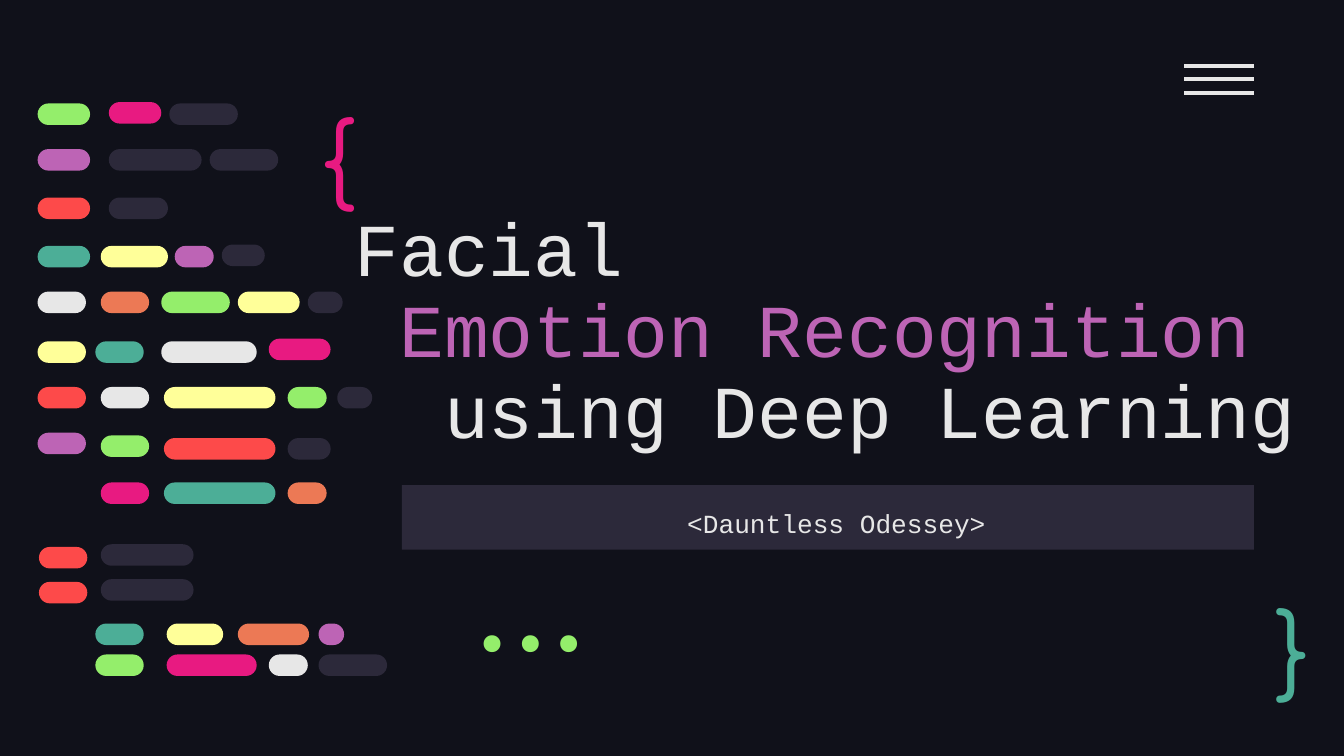
"""Build the title slide of a deep learning talk, with a pattern of code-like pills."""
from lxml import etree
from pptx import Presentation
from pptx.dml.color import RGBColor
from pptx.enum import shapes, text
from pptx.oxml import ns
from pptx.util import Inches, Pt

COLORS = {
    "night": "10111A", "slate": "2C293A", "white": "E7E7E7", "purple": "BD64B5",
    "pink": "E81A81", "teal": "4CAE97", "green": "94EE6B", "red": "FD4A4A",
    "yellow": "FFFF99", "orange": "EC7955",
}
CODE_FONT = "Courier New"
TITLE_SIZE = 40
TITLE_INDENT = TITLE_SIZE * 0.6 / 72
TITLE = [("Facial", "white"), ("Emotion Recognition", "purple"), ("using Deep Learning", "white")]
SUBTITLE = "<Dauntless Odessey>"
TOP, MIDDLE, BOTTOM = text.MSO_ANCHOR.TOP, text.MSO_ANCHOR.MIDDLE, text.MSO_ANCHOR.BOTTOM
LEFT, CENTER, RIGHT = text.PP_ALIGN.LEFT, text.PP_ALIGN.CENTER, text.PP_ALIGN.RIGHT
ORNAMENTS = [
    ("{", (2.29, 0.62, 0.77, 0.95), "Comfortaa", "pink", TOP, LEFT),
    ("}", (9.39, 4.38, 0.57, 0.83), "Comfortaa", "teal", MIDDLE, LEFT),
    ("...", (3.11, 4.49, 1.58, 0.6), "Fira Code", "green", BOTTOM, RIGHT),
]
MENU_LEFT, MENU_RIGHT, MENU_TOP, MENU_STEP, MENU_LINES = 8.81, 9.33, 0.49, 0.1, 3
PILL_HEIGHT = 0.16
PILL_ROWS = [
    (0.77, [(0.28, 0.39, "green"), (1.26, 0.51, "slate")]),
    (0.76, [(0.81, 0.39, "pink")]),
    (1.11, [(0.28, 0.39, "purple"), (0.81, 0.69, "slate"), (1.56, 0.51, "slate")]),
    (1.47, [(0.28, 0.39, "red"), (0.81, 0.44, "slate")]),
    (1.83, [(0.28, 0.39, "teal"), (0.75, 0.5, "yellow"), (1.3, 0.29, "purple")]),
    (1.82, [(1.65, 0.32, "slate")]),
    (2.17, [(0.28, 0.36, "white"), (0.75, 0.36, "orange"), (1.2, 0.51, "green"),
            (1.77, 0.46, "yellow"), (2.29, 0.26, "slate")]),
    (2.54, [(0.28, 0.36, "yellow"), (0.71, 0.36, "teal"), (1.2, 0.71, "white")]),
    (2.52, [(2, 0.46, "pink")]),
    (2.88, [(0.28, 0.36, "red"), (0.75, 0.36, "white"), (1.22, 0.83, "yellow"),
            (2.14, 0.29, "green"), (2.51, 0.26, "slate")]),
    (3.22, [(0.28, 0.36, "purple")]),
    (3.24, [(0.75, 0.36, "green")]),
    (3.26, [(1.22, 0.83, "red"), (2.14, 0.32, "slate")]),
    (3.59, [(0.75, 0.36, "pink"), (1.22, 0.83, "teal"), (2.14, 0.29, "orange")]),
    (4.07, [(0.29, 0.36, "red")]),
    (4.05, [(0.75, 0.69, "slate")]),
    (4.33, [(0.29, 0.36, "red")]),
    (4.31, [(0.75, 0.69, "slate")]),
    (4.64, [(0.71, 0.36, "teal"), (1.24, 0.42, "yellow"), (1.77, 0.53, "orange"),
            (2.37, 0.19, "purple")]),
    (4.87, [(0.71, 0.36, "green"), (1.24, 0.67, "pink"), (2, 0.29, "white"),
            (2.37, 0.51, "slate")]),
]


def color(name):
    return RGBColor.from_string(COLORS[name])


def add_block(slide, kind, box, fill):
    shape = slide.shapes.add_shape(kind, *map(Inches, box))
    shape.shadow.inherit = False
    shape.fill.solid()
    shape.fill.fore_color.rgb = color(fill)
    shape.line.fill.background()
    return shape


def set_frame(shape, anchor, top=0.1):
    frame = shape.text_frame
    frame.word_wrap = True
    frame.vertical_anchor = anchor
    frame.margin_left = frame.margin_right = frame.margin_bottom = Inches(0.1)
    frame.margin_top = Inches(top)
    return frame


def write(paragraph, words, font, size, ink, align=LEFT, spacing=1.0, indent=0):
    paragraph.alignment = align
    paragraph.line_spacing = spacing
    if indent:
        paragraph._p.get_or_add_pPr().set("marL", str(Inches(indent)))
    run = paragraph.add_run()
    run.text = words
    run.font.name = font
    run.font.size = Pt(size)
    run.font.color.rgb = color(ink)


def add_title(slide):
    box = slide.shapes.add_textbox(*map(Inches, (2.54, 1.25, 7.4, 2.23)))
    frame = set_frame(box, BOTTOM)
    for level, (words, ink) in enumerate(TITLE):
        paragraph = frame.add_paragraph() if level else frame.paragraphs[0]
        write(paragraph, words, CODE_FONT, TITLE_SIZE, ink, spacing=0.9, indent=level * TITLE_INDENT)


def add_subtitle(slide):
    bar = add_block(slide, shapes.MSO_SHAPE.RECTANGLE, (2.99, 3.61, 6.34, 0.48), "slate")
    paragraph = set_frame(bar, TOP, 0.13).paragraphs[0]
    write(paragraph, SUBTITLE, CODE_FONT, 14, "white", CENTER, 1.15, 0.13)


def add_ornaments(slide):
    for words, box, font, ink, anchor, align in ORNAMENTS:
        shape = slide.shapes.add_textbox(*map(Inches, box))
        write(set_frame(shape, anchor).paragraphs[0], words, font, 50, ink, align)


def add_menu(slide):
    for index in range(MENU_LINES):
        y = Inches(MENU_TOP + index * MENU_STEP)
        line = slide.shapes.add_connector(
            shapes.MSO_CONNECTOR.STRAIGHT, Inches(MENU_LEFT), y, Inches(MENU_RIGHT), y)
        line.line.color.rgb = color("white")
        line.line.width = Pt(2.25)
        etree.SubElement(line._element.spPr, ns.qn("a:effectLst"))


def add_pills(slide):
    for top, pills in PILL_ROWS:
        for left, width, fill in pills:
            box = (left, top, width, PILL_HEIGHT)
            pill = add_block(slide, shapes.MSO_SHAPE.ROUNDED_RECTANGLE, box, fill)
            pill.adjustments[0] = 0.5


def main():
    presentation = Presentation()
    presentation.slide_width = Inches(10)
    presentation.slide_height = Inches(10 * 9 / 16)
    slide = presentation.slides.add_slide(presentation.slide_layouts[6])
    slide.background.fill.solid()
    slide.background.fill.fore_color.rgb = color("night")
    add_title(slide)
    add_subtitle(slide)
    add_ornaments(slide)
    add_menu(slide)
    add_pills(slide)
    presentation.save("out.pptx")


if __name__ == "__main__":
    main()
